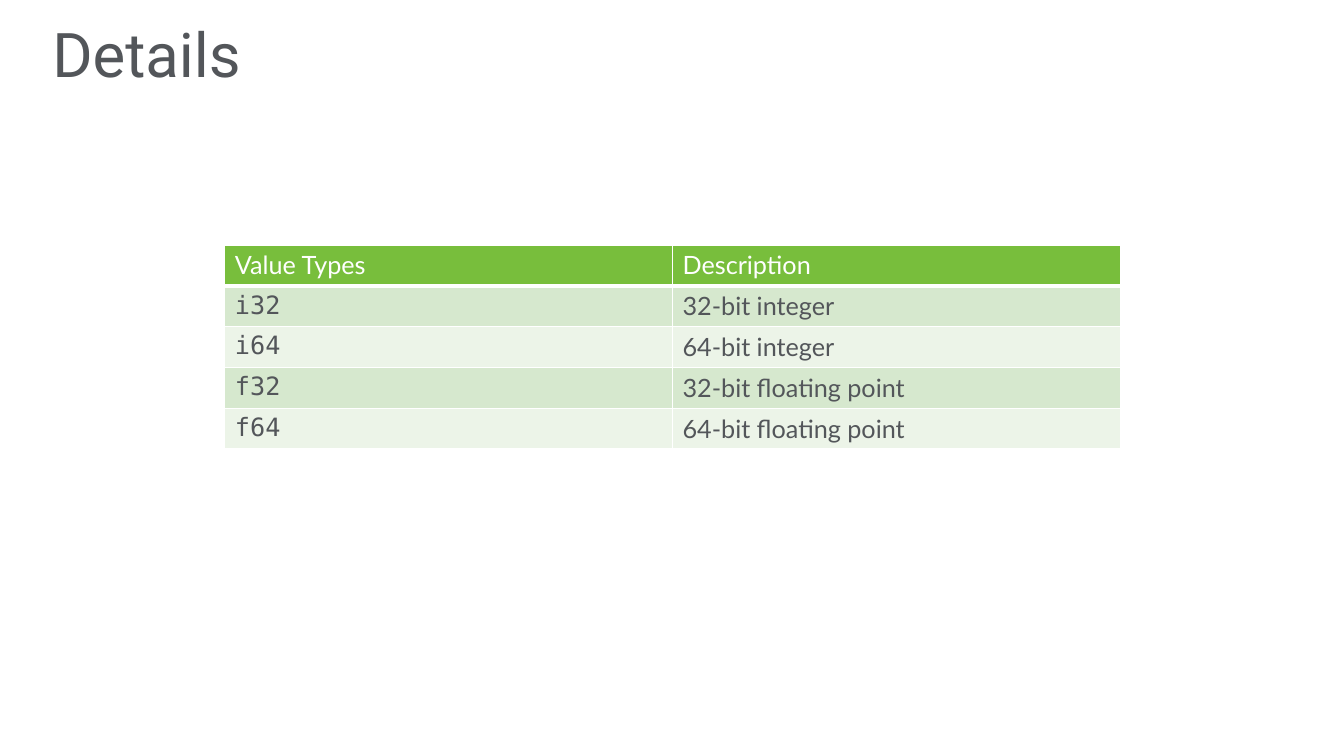
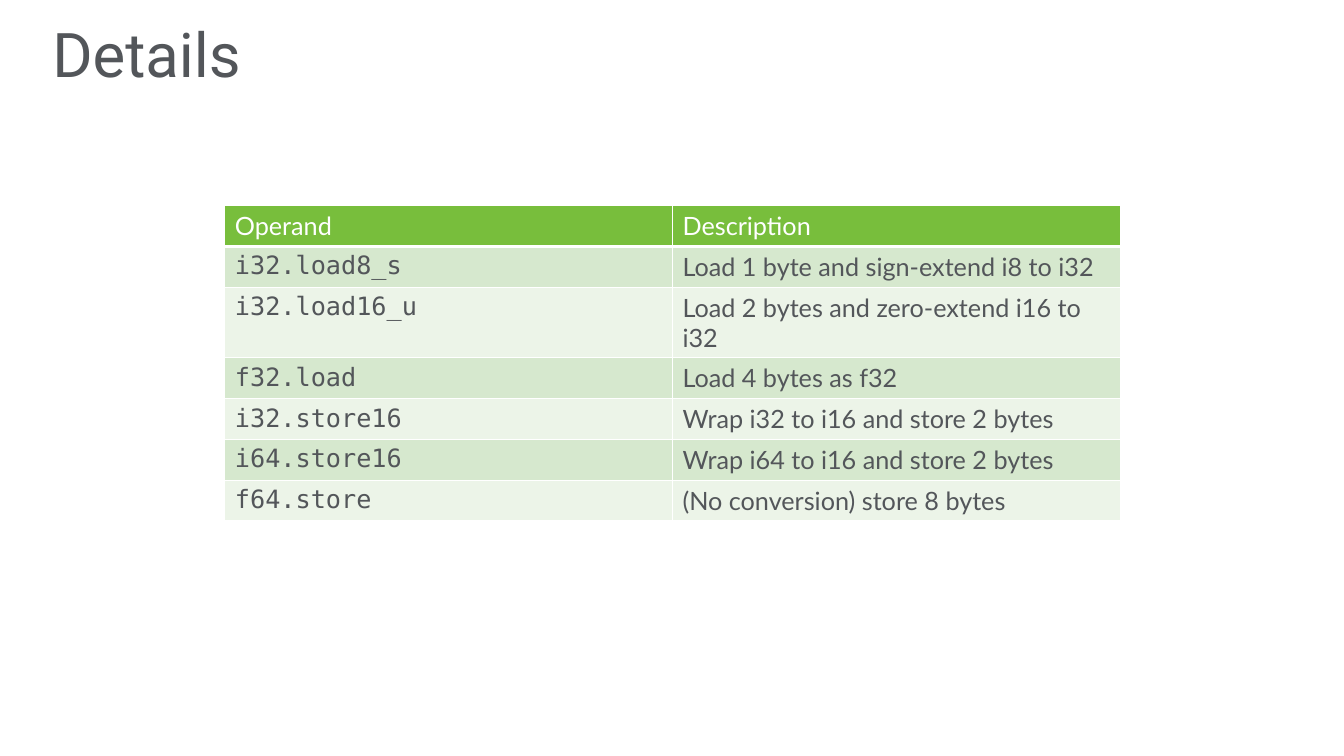
from dataclasses import dataclass
from typing import Any

import lxml.etree
import pptx
import pptx.dml.color
import pptx.enum.text
import pptx.oxml.ns
import pptx.util

Inches = pptx.util.Inches
Pt = pptx.util.Pt
RGBColor = pptx.dml.color.RGBColor

GREY = RGBColor(0x53, 0x56, 0x5A)
WHITE = RGBColor(0xFF, 0xFF, 0xFF)
GREEN = RGBColor(0x78, 0xBE, 0x3C)
BAND_DARK = RGBColor(0xD6, 0xE8, 0xCE)
BAND_LIGHT = RGBColor(0xEC, 0xF4, 0xE8)

TITLE_FORMAT = {"name": "Roboto", "size": Pt(44), "color": GREY}
HEADER_FORMAT = {"name": "Lato", "size": Pt(18), "bold": False, "color": WHITE}
TEXT_FORMAT = {**HEADER_FORMAT, "color": GREY}
CODE_FORMAT = {**TEXT_FORMAT, "name": "DejaVu Sans Mono"}

TABLE_LEFT = 2.23
COLUMN_WIDTH = 4.44
ROW_HEIGHT = 0.405


@dataclass(frozen=True)
class TableSlide:
    title: str
    table_top: float
    rows: list[tuple[str, str]]


TABLE_SLIDES = [
    TableSlide("Details", 2.43, [
        ("Value Types", "Description"),
        ("i32", "32-bit integer"),
        ("i64", "64-bit integer"),
        ("f32", "32-bit floating point"),
        ("f64", "64-bit floating point"),
    ]),
    TableSlide("Details", 2.04, [
        ("Operand", "Description"),
        ("i32.load8_s", "Load 1 byte and sign-extend i8 to i32"),
        ("i32.load16_u", "Load 2 bytes and zero-extend i16 to i32"),
        ("f32.load", "Load 4 bytes as f32"),
        ("i32.store16", "Wrap i32 to i16 and store 2 bytes"),
        ("i64.store16", "Wrap i64 to i16 and store 2 bytes"),
        ("f64.store", "(No conversion) store 8 bytes"),
    ]),
]


def apply_format(font: Any, values: dict[str, Any]) -> None:
    for name, value in values.items():
        if name == "color":
            font.color.rgb = value
        else:
            setattr(font, name, value)


def add_title(slide: Any, text: str) -> None:
    shape = slide.shapes.add_textbox(
        Inches(0.42), Inches(0.28), Inches(12.49), Inches(0.59))
    frame = shape.text_frame
    frame.word_wrap = True
    frame.vertical_anchor = pptx.enum.text.MSO_ANCHOR.MIDDLE
    paragraph = frame.paragraphs[0]
    paragraph.line_spacing = 0.9
    run = paragraph.add_run()
    run.text = text
    apply_format(run.font, TITLE_FORMAT)


def set_borders(cell: Any, bottom_width: int) -> None:
    properties = cell._tc.get_or_add_tcPr()
    qualified = pptx.oxml.ns.qn
    widths = {"a:lnL": 1, "a:lnR": 1, "a:lnT": 1, "a:lnB": bottom_width}
    for tag, width in widths.items():
        line = lxml.etree.SubElement(properties, qualified(tag), w=str(Pt(width)))
        fill = lxml.etree.SubElement(line, qualified("a:solidFill"))
        lxml.etree.SubElement(fill, qualified("a:srgbClr"), val=str(WHITE))


def fill_cell(cell: Any, text: str, row: int, column: int) -> None:
    is_header = row == 0
    set_borders(cell, 3 if is_header else 1)
    cell.fill.solid()
    band = BAND_DARK if row % 2 else BAND_LIGHT
    cell.fill.fore_color.rgb = GREEN if is_header else band
    run = cell.text_frame.paragraphs[0].add_run()
    run.text = text
    body_format = CODE_FORMAT if column == 0 else TEXT_FORMAT
    apply_format(run.font, HEADER_FORMAT if is_header else body_format)


def add_table(slide: Any, top: float, rows: list[tuple[str, str]]) -> None:
    column_count = len(rows[0])
    table = slide.shapes.add_table(
        len(rows), column_count, Inches(TABLE_LEFT), Inches(top),
        Inches(COLUMN_WIDTH * column_count), Inches(ROW_HEIGHT * len(rows))).table
    for row, texts in enumerate(rows):
        for column, text in enumerate(texts):
            fill_cell(table.cell(row, column), text, row, column)


def main() -> None:
    presentation = pptx.Presentation()
    presentation.slide_width = Inches(13.33)
    presentation.slide_height = Inches(7.5)
    for content in TABLE_SLIDES:
        slide = presentation.slides.add_slide(presentation.slide_layouts[6])
        add_title(slide, content.title)
        add_table(slide, content.table_top, content.rows)
    presentation.save("out.pptx")


if __name__ == "__main__":
    main()
